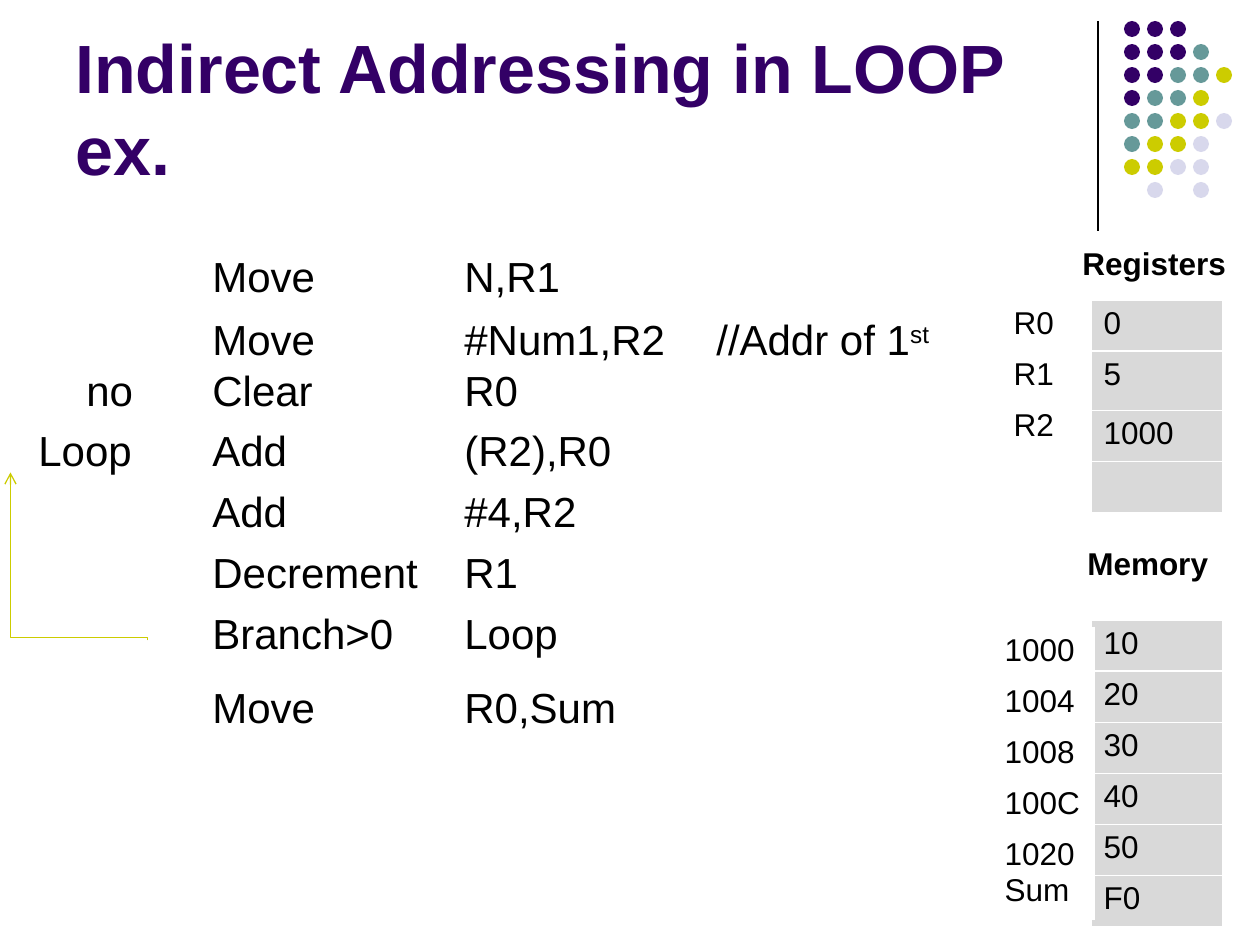
from pptx import Presentation
from pptx.dml.color import RGBColor
from pptx.enum import shapes, text
from pptx.oxml import ns
from lxml import etree
from pptx import util as u

HUES = {"P": "330066", "T": "669999", "Y": "CCCC00", "L": "D8D8EC"}
DOTS = ["PPP", "PPPT", "PPTTY", "PTTY", "TTYYL", "TYYL", "YYLL", " L L"]
TITLE = "Indirect Addressing in LOOP ex."
CODE = [
    [("\t\t", 30, 0), ("Move \t\tN,R1", 24, 0)],
    [("\t\tMove \t\t#Num1,R2\t//Addr of 1", 24, 0), ("st", 24, 30000),
     (" no\tClear \t\tR0", 24, 0)],
    [("Loop\tAdd\t\t(R2),R0", 24, 0)],
    [("\t\tAdd\t\t#4,R2", 24, 0)],
    [("\t\tDecrement\tR1", 24, 0)],
    [("\t\tBranch>0\tLoop", 24, 0)],
    [("\t\tMove \t\tR0,Sum", 24, 0), ("\t\t", 30, 0)],
]
HEADS = [("Registers", 1070, 238, 180), ("Memory", 1075, 538, 154)]
TABLES = [
    (1091, 300, 131, "D9D9D9", [("0", 51), ("5", 59), ("1000", 51), ("", 51)]),
    (1091, 620, 131, "D9D9D9", [(v, 51) for v in ("10", "20", "30", "40", "50", "F0")]),
    (992, 627, 102, "FFFFFF", [("1000", 51), ("1004", 51), ("1008", 51),
                               ("100C", 51), ("1020\nSum", 88)]),
    (1001, 300, 71, "FFFFFF", [("R0", 51), ("R1", 51), ("R2", 51), ("", 51)]),
]


def px(n):
    return u.Emu(round(n * 914400 / 126))


def hue(code):
    return RGBColor.from_string(code)


def style(item, size, color="000000", bold=False):
    font = item.font
    font.name, font.size, font.bold = "Arial", u.Pt(size), bold
    font.color.rgb = hue(color)


def add(node, tag, **attrs):
    return etree.SubElement(node, ns.qn(tag), attrs)


def label(words, x, y, w, h, size, color="000000", anchor="TOP"):
    box = slide.shapes.add_textbox(*map(px, (x, y, w, h)))
    frame = box.text_frame
    frame.word_wrap = True
    frame.vertical_anchor = getattr(text.MSO_ANCHOR, anchor)
    frame.text = words
    style(frame.paragraphs[0], size, color, True)


def link(kind, x1, y1, x2, y2, color):
    line = slide.shapes.add_connector(kind, *map(px, (x1, y1, x2, y2)))
    line.line.color.rgb = hue(color)
    line.line.width = u.Pt(0.75)
    add(line._element.spPr, "a:effectLst")
    return line


def dots():
    group = slide.shapes.add_group_shape()
    for j, row in enumerate(DOTS):
        for i, key in enumerate(row):
            if key in HUES:
                dot = group.shapes.add_shape(
                    shapes.MSO_SHAPE.OVAL, px(1124 + 23 * i), px(21 + 23 * j), px(16), px(16))
                dot.shadow.inherit = False
                dot.fill.solid()
                dot.fill.fore_color.rgb = hue(HUES[key])
                dot.line.fill.background()


def code():
    box = slide.shapes.add_textbox(*map(px, (26, 234, 971, 607)))
    frame = box.text_frame
    frame.word_wrap = True
    for n, runs in enumerate(CODE):
        para = frame.paragraphs[0] if n == 0 else frame.add_paragraph()
        props = para._p.get_or_add_pPr()
        props.set("marL", str(px(48)))
        props.set("indent", str(px(-48)))
        props.set("defTabSz", str(px(126)))
        tabs = add(props, "a:tabLst")
        for i in range(8):
            add(tabs, "a:tab", pos=str(px(126 * i)), algn="l")
        if n:
            para.space_before = u.Pt(7.5 if n == len(CODE) - 1 else 6)
        for words, size, lift in runs:
            run = para.add_run()
            run.text = words
            style(run, size)
            if lift:
                run.font._element.set("baseline", str(lift))


def edge(cell, side, width):
    line = add(cell._tc.get_or_add_tcPr(), "a:" + side, w=str(u.Pt(width)))
    add(add(line, "a:solidFill"), "a:srgbClr", val="FFFFFF")


def grid(x, y, w, fill, rows):
    high = sum(h for _, h in rows)
    table = slide.shapes.add_table(len(rows), 1, *map(px, (x, y, w, high))).table
    table.first_row = table.horz_banding = False
    for n, (words, h) in enumerate(rows):
        table.rows[n].height = px(h)
        cell = table.cell(n, 0)
        cell.text = words
        for para in cell.text_frame.paragraphs:
            style(para, 18)
        for side in ("lnL", "lnR", "lnT", "lnB"):
            thick = (n, side) in ((0, "lnB"), (1, "lnT"))
            edge(cell, side, 1.47 if thick else 0.45)
        cell.fill.solid()
        cell.fill.fore_color.rgb = hue(fill)


def loop():
    line = link(shapes.MSO_CONNECTOR.ELBOW, -5, 625, 163, 488, "CCCC00")
    props = line._element.spPr
    props.find(ns.qn("a:xfrm")).set("rot", "16200000")
    add(props.find(ns.qn("a:prstGeom")).find(ns.qn("a:avLst")), "a:gd",
        name="adj1", fmla="val 1600")
    add(line.line._get_or_add_ln(), "a:tailEnd", type="arrow")


deck = Presentation()
deck.slide_width, deck.slide_height = px(1260), px(945)
slide = deck.slides.add_slide(deck.slide_layouts[6])
link(shapes.MSO_CONNECTOR.STRAIGHT, 1098, 21, 1098, 231, "000000")
dots()
label(TITLE, 63, 16, 1040, 179, 39, "330066", "BOTTOM")
code()
loop()
for part in TABLES:
    grid(*part)
for words, x, y, w in HEADS:
    label(words, x, y, w, 50, 18)
deck.save("out.pptx")
